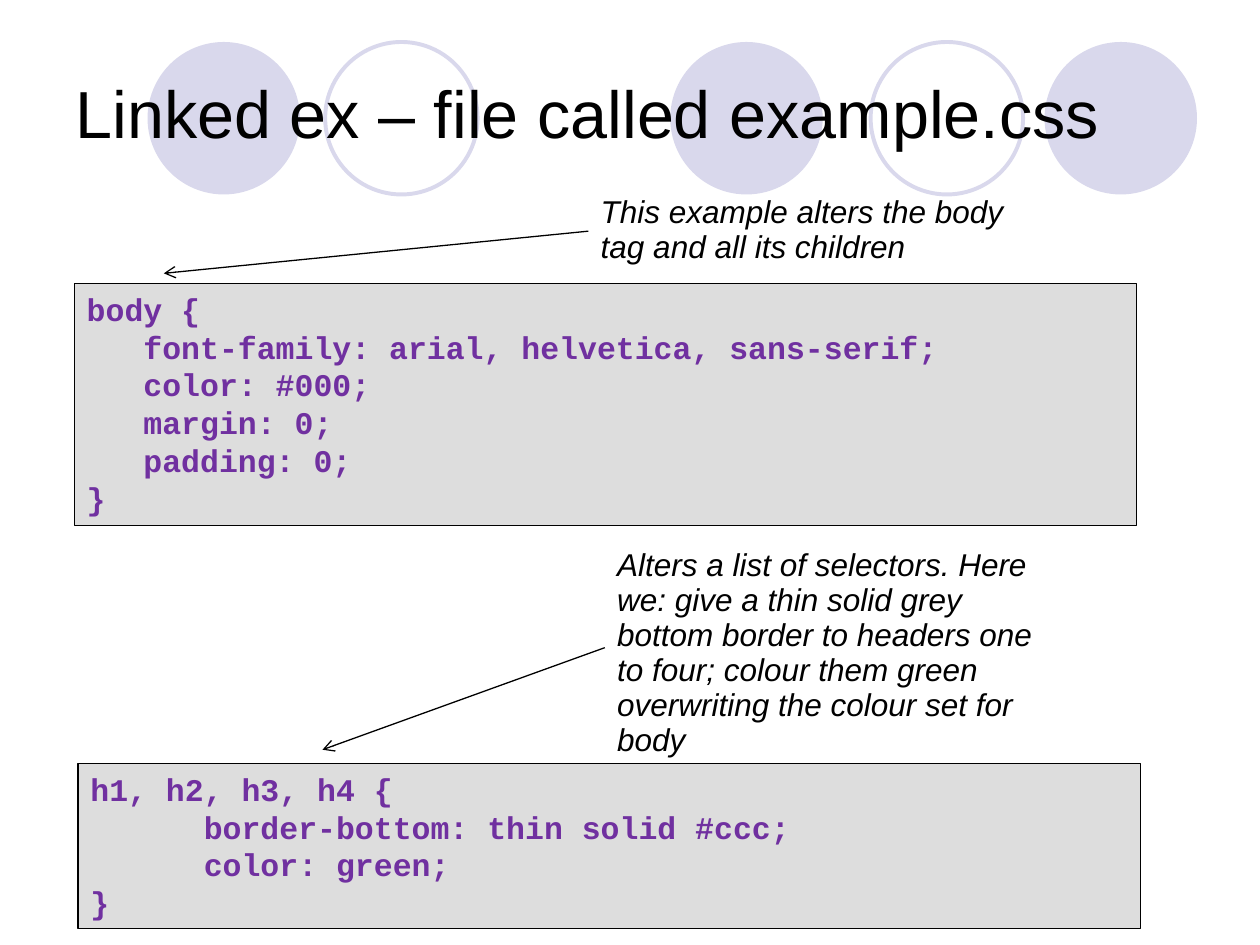
from pptx import Presentation
from pptx import util as u
from pptx.dml.color import RGBColor
from pptx.enum import shapes, text
from pptx.oxml.ns import qn
from lxml import etree

Pt = u.Pt
BLACK = RGBColor(0x00, 0x00, 0x00)
LAVENDER = RGBColor(0xD9, 0xD8, 0xEC)
GREY = RGBColor(0xDD, 0xDD, 0xDD)
PURPLE = RGBColor(0x70, 0x30, 0xA0)

CIRCLE_TOP, CIRCLE_SIZE = 24, 87.1
# left, filled
CIRCLES = [(383, True), (596.9, True), (84.3, True), (497.5, False), (185.8, False)]

TITLE = ("Linked ex – file called example.css", (36, 21.6, 648, 90))

# wording, box, arrow target
NOTES = [
    ("This example alters the body tag and all its children",
     (336.2, 108, 257.8, 48.2), (93.6, 156.2)),
    ("Alters a list of selectors. Here we: give a thin solid grey bottom border "
     "to headers one to four; colour them green overwriting the colour set for body",
     (345.6, 309.6, 257.8, 121), (184.3, 428.4)),
]

CODE_CHAR = 10.8  # advance of one 18 pt Courier New character
# box, characters of indent, lines (True = indented)
RULES = [
    ((42.5, 162, 607, 138.2), 3, [
        ("body {", False),
        ("font-family: arial, helvetica, sans-serif;", True),
        ("color: #000;", True),
        ("margin: 0;", True),
        ("padding: 0;", True),
        ("}", False)]),
    ((44.6, 436.3, 607, 94.3), 6, [
        ("h1, h2, h3, h4 {", False),
        ("border-bottom: thin solid #ccc;", True),
        ("color: green;", True),
        ("}", False)]),
]

TITLE_FONT = {"name": "Arial", "size": Pt(38)}
NOTE_FONT = {"name": "Arial", "size": Pt(18), "italic": True}
CODE_FONT = {"name": "Courier New", "size": Pt(18), "bold": True}


def points(values):
    return [Pt(value) for value in values]


def write(paragraph, wording, font, color, spacing=None):
    run = paragraph.add_run()
    run.text = wording
    for key, value in font.items():
        setattr(run.font, key, value)
    run.font.color.rgb = color
    paragraph.alignment = text.PP_ALIGN.LEFT
    if spacing:
        paragraph.line_spacing = spacing


def add_preset(slide, kind, box, fill, line, width):
    shape = slide.shapes.add_shape(kind, *points(box))
    shape.shadow.inherit = False
    if fill is None:
        shape.fill.background()
    else:
        shape.fill.solid()
        shape.fill.fore_color.rgb = fill
    if line is None:
        shape.line.fill.background()
    else:
        shape.line.color.rgb = line
        shape.line.width = Pt(width)
    return shape


def add_words(slide, wording, box, font, anchor):
    words = slide.shapes.add_textbox(*points(box))
    words.text_frame.word_wrap = True
    words.text_frame.vertical_anchor = anchor
    write(words.text_frame.paragraphs[0], wording, font, BLACK, 0.93)
    return words


def add_note(slide, wording, box, target):
    """Add an italic note with an arrow from its left side to the target."""
    note = add_words(slide, wording, box, NOTE_FONT, text.MSO_ANCHOR.TOP)
    note.text_frame.auto_size = text.MSO_AUTO_SIZE.SHAPE_TO_FIT_TEXT
    left, top, _, height = box
    arrow = slide.shapes.add_connector(
        shapes.MSO_CONNECTOR.STRAIGHT, *points((left, top + height / 2, *target)))
    arrow.begin_connect(note, 1)
    arrow.line.color.rgb = BLACK
    arrow.line.width = Pt(0.75)
    etree.SubElement(arrow.line._get_or_add_ln(), qn("a:tailEnd"), type="arrow")
    etree.SubElement(arrow._element.spPr, qn("a:effectLst"))


def add_rule(slide, box, indent, lines):
    """Add a grey panel holding one CSS rule."""
    panel = add_preset(slide, shapes.MSO_SHAPE.RECTANGLE, box, GREY, BLACK, 0.75)
    frame = panel.text_frame
    frame.word_wrap = True
    frame.vertical_anchor = text.MSO_ANCHOR.TOP
    for number, (wording, indented) in enumerate(lines):
        paragraph = frame.add_paragraph() if number else frame.paragraphs[0]
        write(paragraph, wording, CODE_FONT, PURPLE)
        if indented:
            margin = Pt(indent * CODE_CHAR)
            paragraph._p.get_or_add_pPr().set("marL", str(int(margin)))


def main():
    deck = Presentation()
    deck.slide_width, deck.slide_height = Pt(720), Pt(540)
    slide = deck.slides.add_slide(deck.slide_layouts[6])
    for left, filled in CIRCLES:
        add_preset(slide, shapes.MSO_SHAPE.OVAL,
                   (left, CIRCLE_TOP, CIRCLE_SIZE, CIRCLE_SIZE),
                   LAVENDER if filled else None,
                   None if filled else LAVENDER, 2.25)
    add_words(slide, *TITLE, TITLE_FONT, text.MSO_ANCHOR.MIDDLE)
    for note in NOTES:
        add_note(slide, *note)
    for rule in RULES:
        add_rule(slide, *rule)
    deck.save("out.pptx")


if __name__ == "__main__":
    main()
